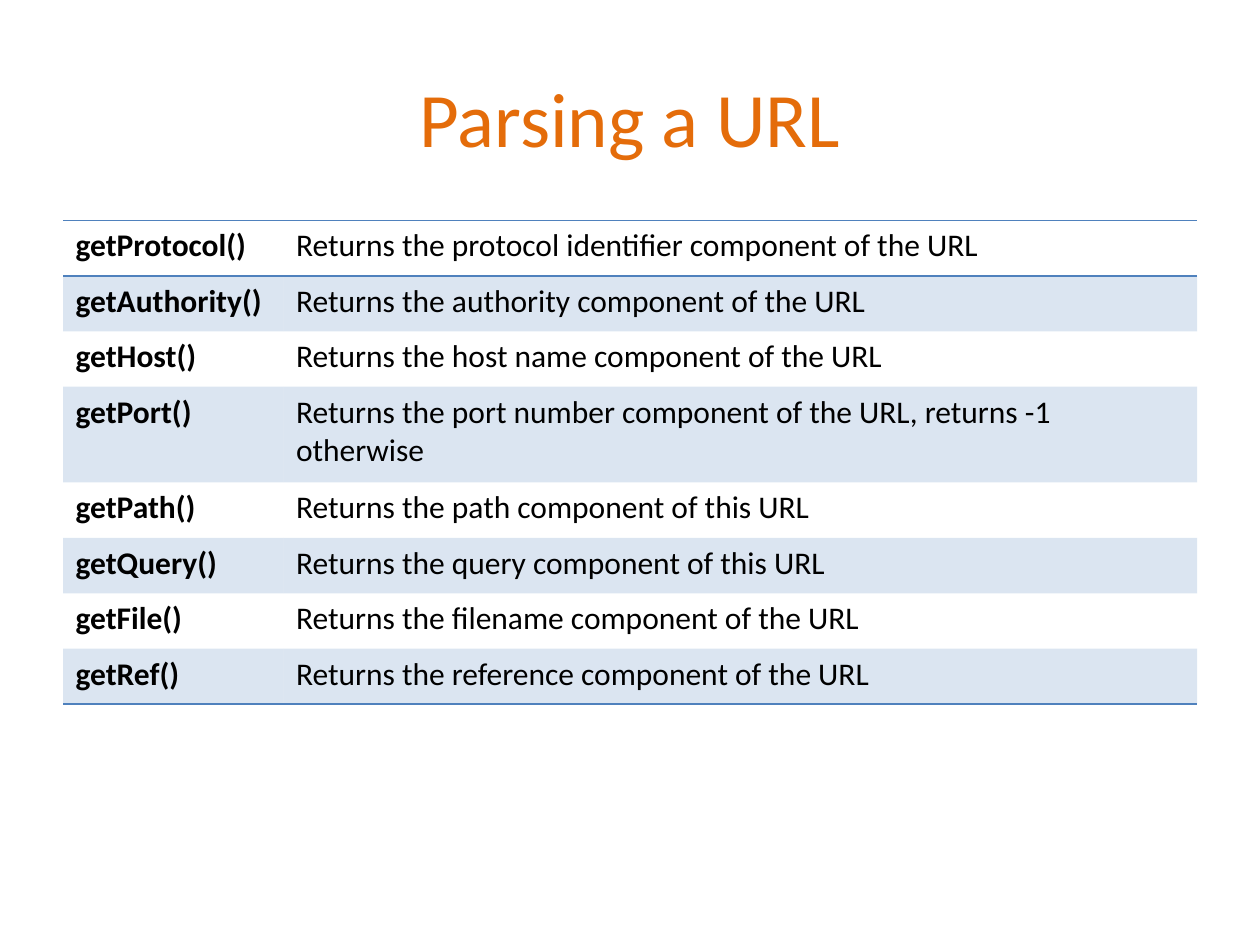
from typing import NamedTuple

from lxml import etree
from pptx import Presentation
from pptx.dml.color import RGBColor
from pptx.enum.text import MSO_ANCHOR, PP_ALIGN
from pptx.oxml.ns import qn
from pptx.util import Inches, Pt

MIDDLE = MSO_ANCHOR.MIDDLE
CENTER = PP_ALIGN.CENTER
BLUE = "4F81BD"
ORANGE = "E46C0A"
BLACK = "000000"
PLAIN = "{2D5ABB26-0587-4C30-8999-92F81FD0307C}"
TITLE = {"size": Pt(44), "name": "Calibri", "bold": False}
NAME = {"size": Pt(18), "name": "Calibri", "bold": True}
BODY = {**NAME, "bold": False}


class Method(NamedTuple):
    name: str
    text: str
    high: float = 0.44
    edges: tuple = ()


METHODS = [
    Method("getProtocol()", "Returns the protocol identifier component of the URL",
           edges=("a:lnT", "a:lnB")),
    Method("getAuthority()", "Returns the authority component of the URL"),
    Method("getHost()", "Returns the host name component of the URL"),
    Method("getPort()",
           "Returns the port number component of the URL, returns -1 otherwise", 0.76),
    Method("getPath()", "Returns the path component of this URL"),
    Method("getQuery()", "Returns the query component of this URL"),
    Method("getFile()", "Returns the filename component of the URL"),
    Method("getRef()", "Returns the reference component of the URL",
           edges=("a:lnB",)),
]


def paint(target, color: str) -> None:
    target.rgb = RGBColor.from_string(color)


def write(frame, text: str, style: dict, color: str) -> None:
    run = frame.paragraphs[0].add_run()
    run.text = text
    for key, value in style.items():
        setattr(run.font, key, value)
    paint(run.font.color, color)


def rule(cell, edge: str) -> None:
    line = etree.SubElement(cell._tc.get_or_add_tcPr(), qn(edge), w=str(Pt(1)))
    fill = etree.SubElement(line, qn("a:solidFill"))
    etree.SubElement(fill, qn("a:srgbClr"), val=BLUE)


def shade(cell) -> None:
    cell.fill.solid()
    paint(cell.fill.fore_color, BLUE)
    color = cell._tc.tcPr.find(".//" + qn("a:solidFill") + "/" + qn("a:srgbClr"))
    for node in cell._tc.tcPr.findall(qn("a:solidFill")):
        color = node.find(qn("a:srgbClr"))
    etree.SubElement(color, qn("a:alpha"), val="20000")


def add_title(slide, text: str) -> None:
    box = slide.shapes.add_textbox(Inches(0.5), Inches(0.3), Inches(9), Inches(1.25))
    frame = box.text_frame
    frame.word_wrap = True
    frame.vertical_anchor = MIDDLE
    frame.paragraphs[0].alignment = CENTER
    write(frame, text, TITLE, ORANGE)


def add_grid(slide, methods: list[Method]) -> None:
    high = sum(item.high for item in methods)
    grid = slide.shapes.add_table(len(methods), 2, Inches(0.5), Inches(1.75),
                                  Inches(9), Inches(high)).table
    grid._tbl.tblPr.find(qn("a:tableStyleId")).text = PLAIN
    for col, wide in zip(grid.columns, (1.75, 7.25)):
        col.width = Inches(wide)
    for index, item in enumerate(methods):
        row = grid.rows[index]
        row.height = Inches(item.high)
        for cell, text, style in zip(row.cells, (item.name, item.text), (NAME, BODY)):
            write(cell.text_frame, text, style, BLACK)
            for edge in item.edges:
                rule(cell, edge)
            if index % 2:
                shade(cell)
            else:
                cell.fill.background()


def main() -> None:
    deck = Presentation()
    deck.slide_width, deck.slide_height = Inches(10), Inches(7.5)
    slide = deck.slides.add_slide(deck.slide_layouts[6])
    add_title(slide, "Parsing a URL")
    add_grid(slide, METHODS)
    deck.save("out.pptx")


if __name__ == "__main__":
    main()
